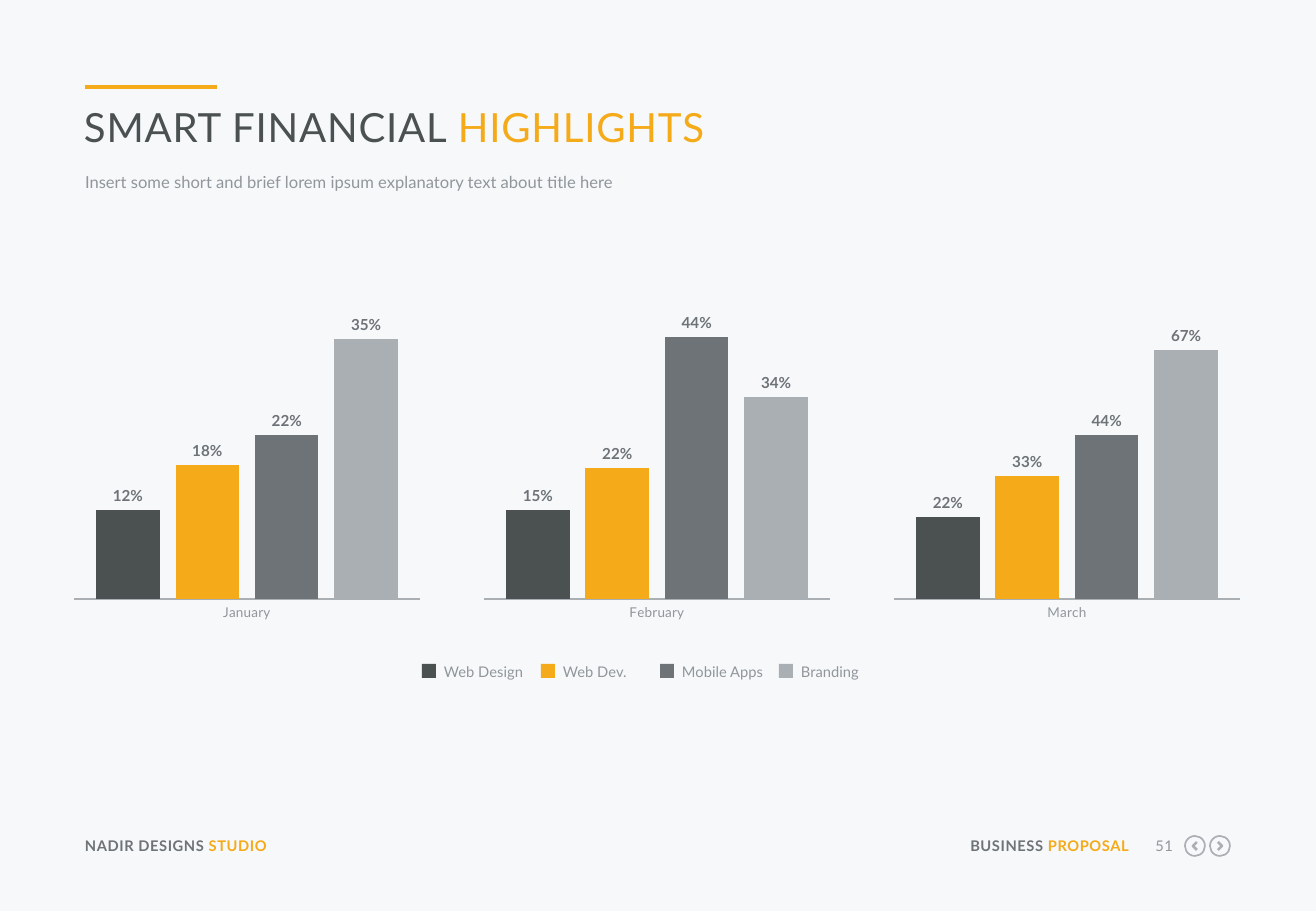
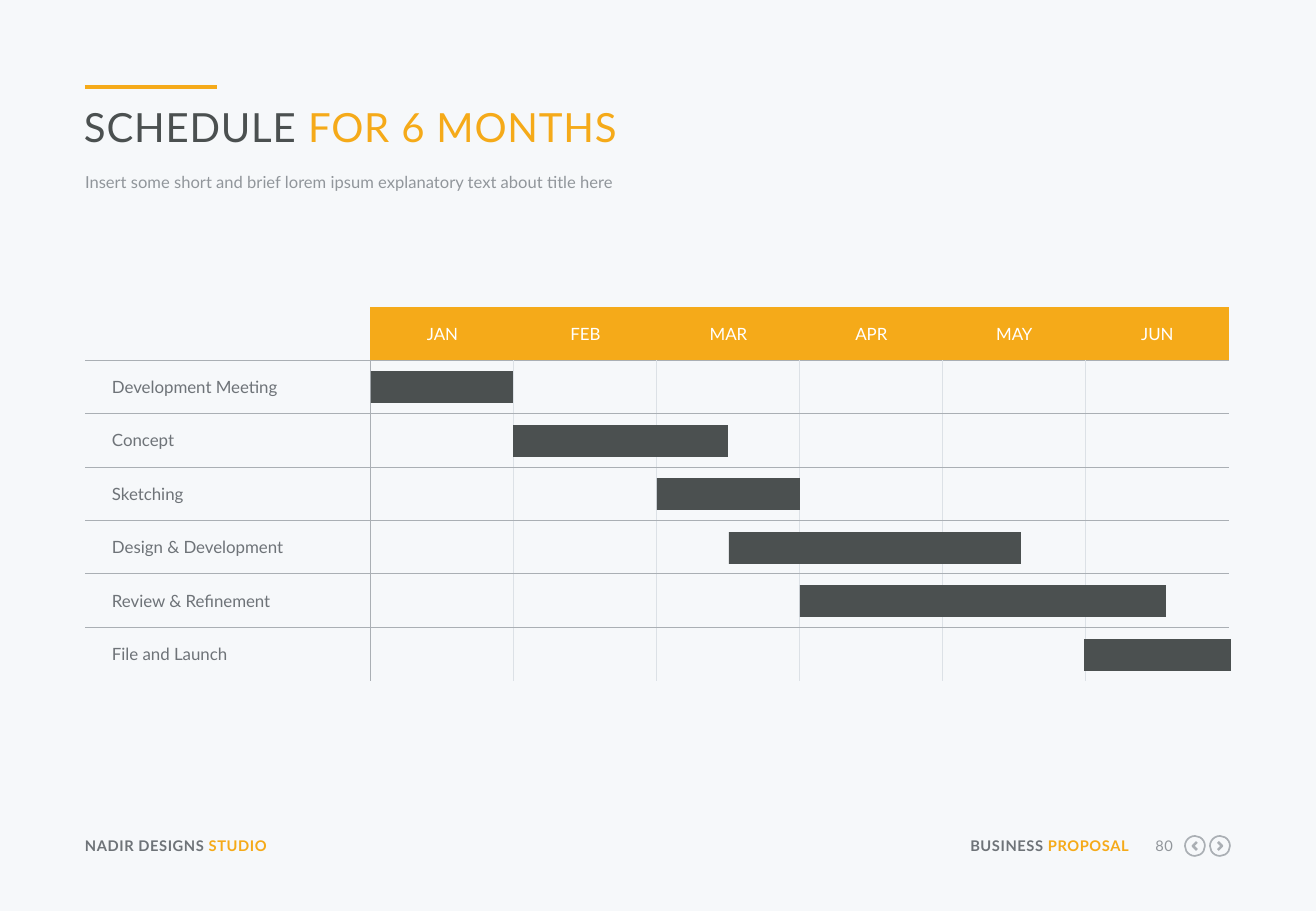
from dataclasses import dataclass

from lxml.etree import SubElement
from pptx import Presentation
from pptx.chart.data import CategoryChartData
from pptx.dml.color import RGBColor
from pptx.enum.chart import XL_CHART_TYPE, XL_LABEL_POSITION, XL_TICK_MARK
from pptx.enum.shapes import MSO_CONNECTOR, MSO_SHAPE
from pptx.enum.text import MSO_ANCHOR, MSO_AUTO_SIZE, PP_ALIGN
from pptx.oxml.ns import qn
from pptx.util import Pt


@dataclass(frozen=True)
class Theme:
    font: str = "Lato"
    paper: RGBColor = RGBColor.from_string("F6F8FA")
    white: RGBColor = RGBColor.from_string("FFFFFF")
    accent: RGBColor = RGBColor.from_string("F5AA19")
    dark: RGBColor = RGBColor.from_string("4B5050")
    slate: RGBColor = RGBColor.from_string("6E7378")
    muted: RGBColor = RGBColor.from_string("91969B")
    silver: RGBColor = RGBColor.from_string("AAAFB4")
    pale: RGBColor = RGBColor.from_string("DCE1E6")
    title_size: float = 23.8
    subtitle_size: float = 9.8
    table_size: float = 10
    small_size: float = 8.7
    label_size: float = 9
    axis_size: float = 8


THEME = Theme()
PX = 7526  # EMU per px


def px(*lengths):
    return [round(length * PX) for length in lengths]


def write(frame, spans, size, spacing=0, bold=False, align=PP_ALIGN.LEFT):
    """Fill a frame with one paragraph of (text, colour) spans."""
    frame.margin_left = frame.margin_top = frame.margin_right = frame.margin_bottom = 0
    frame.word_wrap = True
    frame.auto_size = MSO_AUTO_SIZE.NONE
    frame.vertical_anchor = MSO_ANCHOR.TOP
    paragraph = frame.paragraphs[0]
    paragraph.alignment = align
    paragraph.font.name = THEME.font
    paragraph.font.size = Pt(size)
    paragraph.font.bold = bold
    for text, colour in spans:
        run = paragraph.add_run()
        run.text = text
        run.font.color.rgb = colour
        if spacing:
            run._r.get_or_add_rPr().set("spc", str(spacing))
    return paragraph


prs = Presentation()
prs.slide_width, prs.slide_height = px(1316, 911)
background = prs.slide_master.background.fill
background.solid()
background.fore_color.rgb = THEME.paper

# Shared frame: title, subtitle, accent rule and footer
slides = []
for lead, highlight, number in [
    ("SMART FINANCIAL ", "HIGHLIGHTS", "51"),
    ("SCHEDULE ", "FOR 6 MONTHS", "80"),
]:
    slide = prs.slides.add_slide(prs.slide_layouts[5])
    slides.append(slide)
    shapes = slide.shapes

    rule = shapes.add_connector(MSO_CONNECTOR.STRAIGHT, *px(85, 87, 217, 87))
    rule.line.color.rgb = THEME.accent
    rule.line.width = Pt(2.25)
    SubElement(rule._element.spPr, qn("a:effectLst"))

    title = shapes.title
    title.left, title.top, title.width, title.height = px(84, 102, 1145, 50)
    write(title.text_frame, [(lead, THEME.dark), (highlight, THEME.accent)],
          THEME.title_size, spacing=50)

    subtitle = shapes.add_textbox(*px(85, 170, 1145, 26))
    write(subtitle.text_frame,
          [("Insert some short and brief lorem ipsum explanatory text about title here",
            THEME.muted)], THEME.subtitle_size).line_spacing = Pt(13)

    for left, width, spans, bold, align in [
        (85, 256, [("NADIR DESIGNS ", THEME.slate), ("STUDIO", THEME.accent)],
         True, PP_ALIGN.LEFT),
        (962, 167, [("BUSINESS ", THEME.slate), ("PROPOSAL", THEME.accent)],
         True, PP_ALIGN.RIGHT),
        (1143, 30, [(number, THEME.muted)], False, PP_ALIGN.RIGHT),
    ]:
        footer = shapes.add_textbox(*px(left, 837, width, 18))
        write(footer.text_frame, spans, THEME.small_size, 30, bold, align)

    # Previous and next arrows
    for centre, tip in [(1195, -2), (1220, 2)]:
        ring = shapes.add_shape(MSO_SHAPE.OVAL, *px(centre - 10, 836, 20, 20))
        outline = shapes.build_freeform(centre - tip, 842, scale=PX)
        outline.add_line_segments([(centre + tip, 846), (centre - tip, 850)], close=False)
        for mark, weight in [(ring, 1), (outline.convert_to_shape(), 1.5)]:
            mark.shadow.inherit = False
            mark.fill.background()
            mark.line.color.rgb = THEME.silver
            mark.line.width = Pt(weight)

highlights, schedule = slides
blocks = []  # (slide, box, colour) of the plain rectangles

# Monthly charts
services = [
    ("Web Design", THEME.dark),
    ("Web Dev.", THEME.accent),
    ("Mobile Apps", THEME.slate),
    ("Branding", THEME.silver),
]
for i, (month, shares, top_value) in enumerate([
    ("January", [0.12, 0.18, 0.22, 0.35], 0.4),
    ("February", [0.15, 0.22, 0.44, 0.34], 0.5),
    ("March", [0.22, 0.33, 0.44, 0.67], 0.8),
]):
    data = CategoryChartData(number_format="0%")
    data.categories = [month]
    for (service, _), share in zip(services, shares):
        data.add_series(service, [share])
    chart = highlights.shapes.add_chart(
        XL_CHART_TYPE.COLUMN_CLUSTERED, *px(67 + 410 * i, 295, 360, 332), data).chart
    chart.has_legend = chart.has_title = False
    chart.font.name = THEME.font
    chart.font.size = Pt(THEME.axis_size)
    chart.font.color.rgb = THEME.muted

    chart.value_axis.visible = False
    chart.value_axis.has_major_gridlines = False
    chart.value_axis.minimum_scale = 0
    chart.value_axis.maximum_scale = top_value
    months = chart.category_axis
    months.major_tick_mark = months.minor_tick_mark = XL_TICK_MARK.NONE
    months.format.line.color.rgb = THEME.silver
    months.format.line.width = Pt(0.75)

    columns = chart.plots[0]
    columns.gap_width = 69
    columns.overlap = -25
    columns.vary_by_categories = False
    for series, (_, colour) in zip(columns.series, services):
        series.format.fill.solid()
        series.format.fill.fore_color.rgb = colour
        labels = series.data_labels
        labels.show_value = True
        labels.position = XL_LABEL_POSITION.OUTSIDE_END
        labels.number_format = "0%"
        labels.number_format_is_linked = False
        labels.font.name = THEME.font
        labels.font.size = Pt(THEME.label_size)
        labels.font.bold = True
        labels.font.color.rgb = THEME.slate

# Legend shared by the three charts
for i, (service, colour) in enumerate(services):
    entry = highlights.shapes.add_textbox(*px(444 + 119 * i, 663, 95, 18))
    write(entry.text_frame, [(service, THEME.muted)], THEME.small_size)
    blocks.append((highlights, (422 + 119 * i, 664, 14, 14), colour))

# Schedule table
month_names = ["JAN", "FEB", "MAR", "APR", "MAY", "JUN"]
tasks = [  # name, bar left, bar width
    ("Development Meeting", 371, 142),
    ("Concept", 513, 215),
    ("Sketching", 657, 143),
    ("Design & Development", 729, 292),
    ("Review & Refinement", 800, 366),
    ("File and Launch", 1084, 147),
]
n_rows, n_cols = len(tasks) + 1, len(month_names) + 1
table_top, table_height = 307, 374
row_height = table_height / n_rows
table = schedule.shapes.add_table(
    n_rows, n_cols, *px(85, table_top, 1144, table_height)).table
table.first_row = table.horz_banding = False
for c, column in enumerate(table.columns):
    column.width = PX * (143 if c else 286)

for r, row in enumerate(table.rows):
    row.height = px(row_height)[0]
    for c, cell in enumerate(row.cells):
        # Borders run only between cells; header columns are split in the accent colour
        inner = THEME.accent if r == 0 else THEME.pale
        first = THEME.accent if r == 0 else THEME.silver
        edges = {
            "a:lnL": None if c == 0 else first if c == 1 else inner,
            "a:lnR": None if c == n_cols - 1 else first if c == 0 else inner,
            "a:lnT": THEME.silver if r > 0 else None,
            "a:lnB": THEME.silver if r < n_rows - 1 else None,
        }
        for tag, colour in edges.items():
            edge = SubElement(cell._tc.get_or_add_tcPr(), qn(tag), w=str(Pt(0.75)))
            if colour is None:
                SubElement(edge, qn("a:noFill"))
            else:
                paint = SubElement(edge, qn("a:solidFill"))
                SubElement(paint, qn("a:srgbClr"), val=str(colour))

        cell.margin_left = cell.margin_top = cell.margin_right = cell.margin_bottom = 0
        cell.vertical_anchor = MSO_ANCHOR.MIDDLE
        cell.fill.background()
        paragraph = cell.text_frame.paragraphs[0]
        paragraph.font.name = THEME.font
        paragraph.font.size = Pt(THEME.table_size)
        if r == 0 and c > 0:
            cell.fill.solid()
            cell.fill.fore_color.rgb = THEME.accent
            paragraph.text = month_names[c - 1]
            paragraph.alignment = PP_ALIGN.CENTER
            paragraph.font.color.rgb = THEME.white
        elif r > 0 and c == 0:
            cell.margin_left = px(27)[0]
            paragraph.text = tasks[r - 1][0]
            paragraph.font.color.rgb = THEME.slate

# Task bars
for r, (_, left, width) in enumerate(tasks, start=1):
    bar_top = round(table_top + r * row_height + 11)
    blocks.append((schedule, (left, bar_top, width, 32), THEME.dark))

# Legend swatches and task bars
for slide, box, colour in blocks:
    block = slide.shapes.add_shape(MSO_SHAPE.RECTANGLE, *px(*box))
    block.shadow.inherit = False
    block.fill.solid()
    block.fill.fore_color.rgb = colour
    block.line.fill.background()

prs.save("out.pptx")
